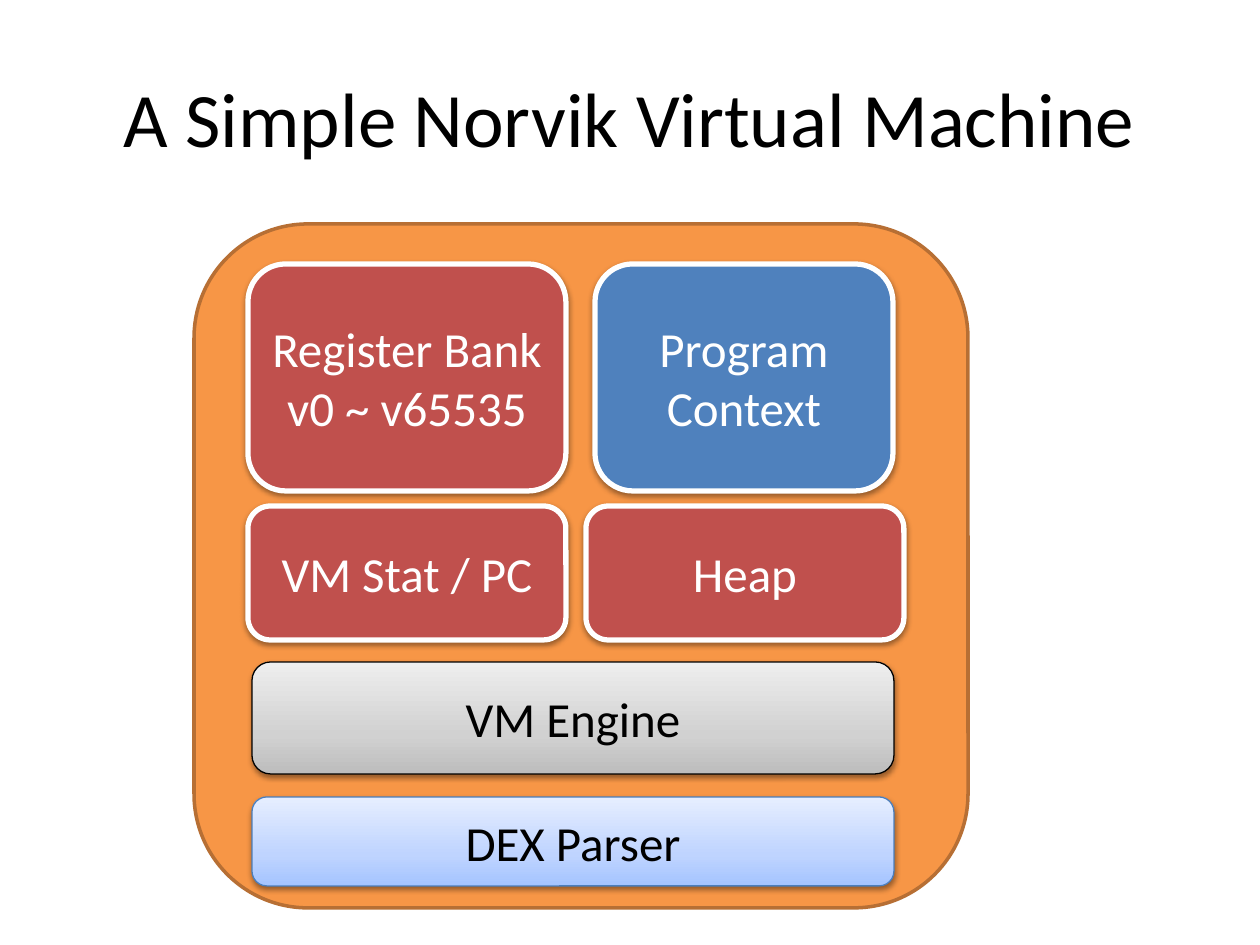
from lxml.etree import SubElement
from pptx import Presentation
from pptx.dml.color import RGBColor
from pptx.enum.shapes import MSO_SHAPE
from pptx.enum.text import MSO_ANCHOR, PP_ALIGN
from pptx.oxml.ns import qn
from pptx.util import Emu, Pt

PX = 914400 // 126  # EMU per px
THEME = {
    "font": "Calibri", "title": 44, "body": 28, "dark": "000000", "light": "FFFFFF",
    # style: fill (colour or gradient stops from the bottom up), line, line width, text
    "frame": ("F79646", "B76F34", 2, "dark"),
    "red": ("C0504D", "FFFFFF", 3, "light"),
    "blue": ("4F81BD", "FFFFFF", 3, "light"),
    "grey": ([(0, "BDBDBD"), (35, "D1D1D1"), (100, "EEEEEE")], "000000", 0.75, "dark"),
    "pale": ([(0, "A4C4FF"), (35, "BFD4FF"), (100, "E6EEFF")], "4B7EBC", 0.75, "dark"),
}

# Content
TITLE = ["A Simple Norvik Virtual Machine"]
TITLE_BOX = (63, 38, 1134, 157)
FRAME_BOX = (194, 224, 774, 684)
# Rows: top, height, then (lines, style, left, width) of each part
ROWS = [
    (264, 227, [(["Register Bank", "v0 ~ v65535"], "red", 248, 318),
                (["Program Context"], "blue", 595, 298)]),
    (506, 134, [(["VM Stat / PC"], "red", 248, 318),
                (["Heap"], "red", 586, 318)]),
    (662, 112, [(["VM Engine"], "grey", 252, 642)]),
    (797, 89, [(["DEX Parser"], "pale", 252, 642)]),
]


def px(box):
    return [Emu(v * PX) for v in box]


def write(sp, lines, size, color):
    tf = sp.text_frame
    tf.word_wrap, tf.vertical_anchor = True, MSO_ANCHOR.MIDDLE
    for i, line in enumerate(lines):
        p = tf.add_paragraph() if i else tf.paragraphs[0]
        p.alignment = PP_ALIGN.CENTER
        r = p.add_run()
        r.text = line
        for name, value in {"name": THEME["font"], "size": Pt(THEME[size])}.items():
            setattr(r.font, name, value)
        r.font.color.rgb = RGBColor.from_string(THEME[color])


def add_color(parent, color, alpha=None):
    clr = SubElement(parent, qn("a:srgbClr"), val=color)
    if alpha:
        SubElement(clr, qn("a:alpha"), val=str(alpha * 1000))


def fill_gradient(sp, stops):
    sp.fill.gradient()
    grad = sp._element.spPr.find(qn("a:gradFill"))
    for child in list(grad):
        grad.remove(child)
    gs_lst = SubElement(grad, qn("a:gsLst"))
    for pos, color in stops:
        add_color(SubElement(gs_lst, qn("a:gs"), pos=str(pos * 1000)), color)
    SubElement(grad, qn("a:lin"), ang="16200000", scaled="0")


def add_shadow(sp):
    effects = sp._element.spPr.find(qn("a:effectLst"))
    shadow = SubElement(effects, qn("a:outerShdw"), blurRad="40000", dist="20000",
                        dir="5400000", rotWithShape="0")
    add_color(shadow, THEME["dark"], alpha=38)


def add_block(s, box, style, lines=()):
    fill, line, width, text = THEME[style]
    sp = s.shapes.add_shape(MSO_SHAPE.ROUNDED_RECTANGLE, *px(box))
    if isinstance(fill, str):
        sp.fill.solid()
        sp.fill.fore_color.rgb = RGBColor.from_string(fill)
    else:
        fill_gradient(sp, fill)
    sp.line.color.rgb = RGBColor.from_string(line)
    sp.line.width = Pt(width)
    sp.shadow.inherit = False
    if lines:
        add_shadow(sp)
        write(sp, lines, "body", text)


def main():
    prs = Presentation()
    prs.slide_width, prs.slide_height = px((1260, 945))
    s = prs.slides.add_slide(prs.slide_layouts[6])

    # Machine frame and title
    add_block(s, FRAME_BOX, "frame")
    write(s.shapes.add_textbox(*px(TITLE_BOX)), TITLE, "title", "dark")

    # Machine parts
    for top, height, parts in ROWS:
        for lines, style, left, width in parts:
            add_block(s, (left, top, width, height), style, lines)

    prs.save("out.pptx")


if __name__ == "__main__":
    main()
